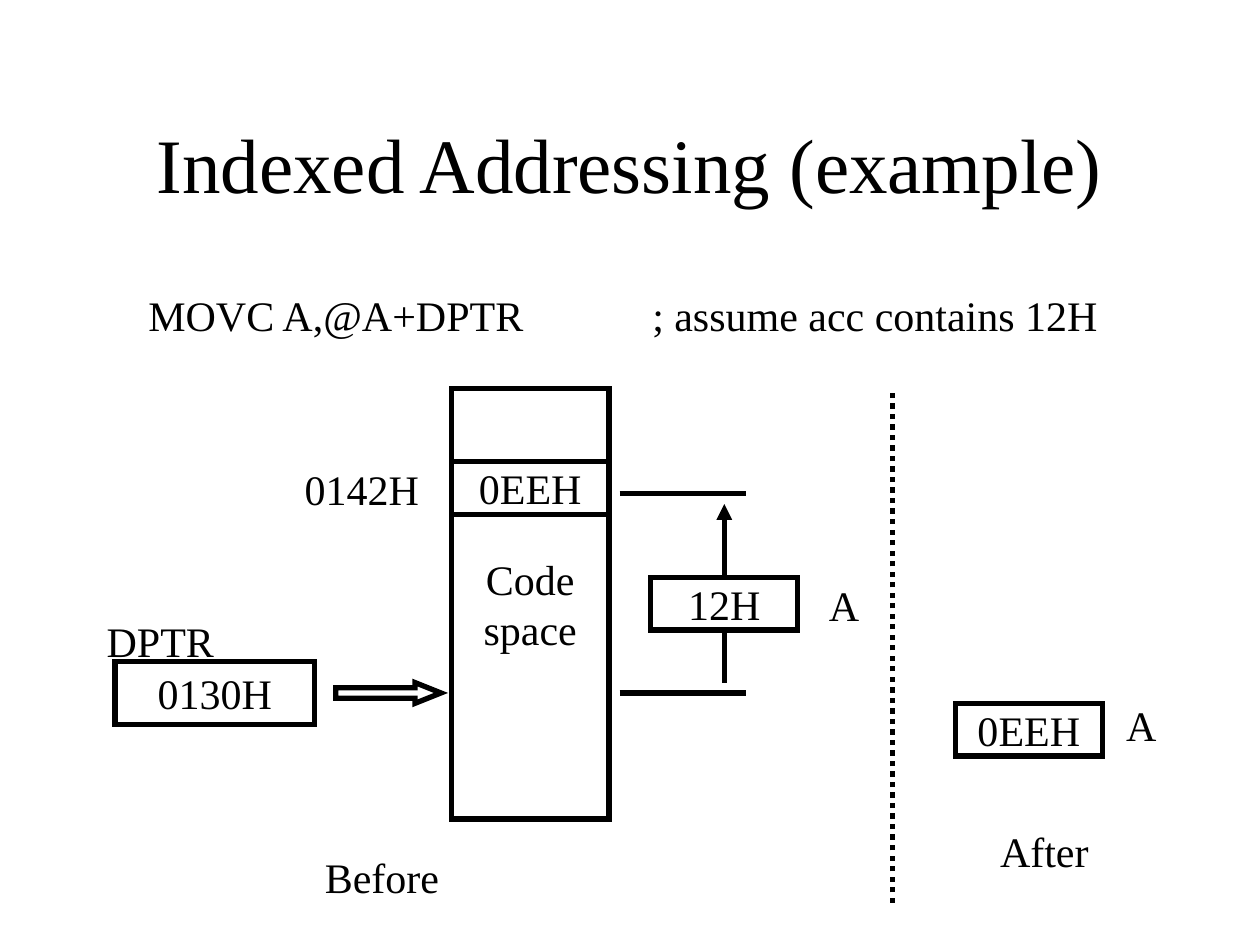
from lxml import etree
from pptx import Presentation
from pptx.dml.color import RGBColor
from pptx.enum.dml import MSO_LINE_DASH_STYLE as DASH
from pptx.enum.shapes import MSO_CONNECTOR, MSO_SHAPE
from pptx.enum.text import MSO_ANCHOR, MSO_AUTO_SIZE, PP_ALIGN
from pptx.oxml.ns import qn
from pptx.util import Cm, Pt

BLACK = RGBColor(0x00, 0x00, 0x00)
WHITE = RGBColor(0xFF, 0xFF, 0xFF)
FONT = "Times New Roman"
STROKE = Pt(3)
REG_W, REG_H = 2.96, 1.06  # accumulator box, cm
LABEL_H = 1.27
TAB_STEP = 2.54


def write(tf, lines, size=24, align=PP_ALIGN.LEFT, anchor=MSO_ANCHOR.TOP, wrap=False, tabs=0):
    tf.word_wrap = wrap
    tf.vertical_anchor = anchor
    for i, line in enumerate(lines):
        p = tf.paragraphs[0] if i == 0 else tf.add_paragraph()
        p.alignment = align
        if tabs:
            tab_list = etree.SubElement(p._p.get_or_add_pPr(), qn("a:tabLst"))
            for n in range(1, tabs + 1):
                etree.SubElement(tab_list, qn("a:tab"), pos=str(Cm(n * TAB_STEP)), algn="l")
        r = p.add_run()
        r.text = line
        r.font.name = FONT
        r.font.size = Pt(size)
        r.font.color.rgb = BLACK


def add_label(s, x, y, w, text, h=LABEL_H, **style):
    sp = s.shapes.add_textbox(Cm(x), Cm(y), Cm(w), Cm(h))
    write(sp.text_frame, [text], **style)
    if h == LABEL_H:
        sp.text_frame.auto_size = MSO_AUTO_SIZE.SHAPE_TO_FIT_TEXT


def add_box(s, x, y, w, h, *lines, kind=MSO_SHAPE.RECTANGLE):
    sp = s.shapes.add_shape(kind, Cm(x), Cm(y), Cm(w), Cm(h))
    sp.shadow.inherit = False
    sp.fill.solid()
    sp.fill.fore_color.rgb = WHITE
    sp.line.color.rgb = BLACK
    sp.line.width = STROKE
    etree.SubElement(sp.line._get_or_add_ln(), qn("a:miter"), lim="800000")
    write(sp.text_frame, lines, align=PP_ALIGN.CENTER, anchor=MSO_ANCHOR.MIDDLE)
    return sp


def add_line(s, x1, y1, x2, y2, dash=None, arrow=False):
    line = s.shapes.add_connector(MSO_CONNECTOR.STRAIGHT, Cm(x1), Cm(y1), Cm(x2), Cm(y2))
    line.line.color.rgb = BLACK
    line.line.width = STROKE
    if dash:
        line.line.dash_style = dash
    if arrow:
        etree.SubElement(line.line._get_or_add_ln(), qn("a:tailEnd"), type="triangle")
    etree.SubElement(line._element.spPr, qn("a:effectLst"))


def add_header(s, left, top, width):
    add_label(s, left, top, width, "Indexed Addressing (example)", h=3.18, size=44,
              align=PP_ALIGN.CENTER, anchor=MSO_ANCHOR.MIDDLE, wrap=True)
    add_label(s, left + 0.84, top + 4.02, width - 0.48,
              "MOVC A,@A+DPTR\t\t; assume acc contains 12H", wrap=True, tabs=7)


def add_before(s, left, top):
    # Code memory and the data pointer
    code_x, code_w = left + 7.2, 3.18
    base_y = top + 6.14
    add_box(s, code_x, top, code_w, 8.68, "Code", "space")
    add_box(s, left + 0.42, top + 5.5, 4.02, 1.27, "0130H")
    add_label(s, left, top + 4.45, 2.67, "DPTR")
    pointer = add_box(s, left + 4.87, base_y - 0.21, 2.12, 0.42, kind=MSO_SHAPE.RIGHT_ARROW)
    pointer.adjustments[0] = 0.5
    pointer.adjustments[1] = 1.25

    # Offset held in the accumulator
    acc_x, acc_y = left + 11.22, top + 3.81
    axis_x = acc_x + REG_W / 2
    target_y = top + 2.12
    for y in (base_y, target_y):
        add_line(s, left + 10.59, y, left + 13.13, y)
    add_box(s, acc_x, acc_y, REG_W, REG_H, "12H")
    add_label(s, left + 14.56, top + 3.73, 1.12, "A")
    add_line(s, axis_x, base_y - 0.21, axis_x, acc_y + REG_H)
    add_line(s, axis_x, acc_y, axis_x, target_y + 0.21, arrow=True)

    # Addressed cell
    add_box(s, code_x, top + 1.48, code_w, REG_H, "0EEH")
    add_label(s, left + 3.99, top + 1.39, 2.82, "0142H")
    add_label(s, left + 4.4, top + 9.21, 2.85, "Before")


def add_after(s, left, top, height):
    add_line(s, left, top + height, left, top, dash=DASH.ROUND_DOT)
    add_box(s, left + 1.27, top + 6.35, REG_W, REG_H, "0EEH")
    add_label(s, left + 4.46, top + 6.14, 1.12, "A")
    add_label(s, left + 1.92, top + 8.68, 2.29, "After")


def main():
    prs = Presentation()
    prs.slide_width, prs.slide_height = Cm(25.4), Cm(19.05)
    s = prs.slides.add_slide(prs.slide_layouts[6])
    add_header(s, 1.9, 1.7, 21.59)
    add_before(s, 1.9, 7.83)
    add_after(s, 17.99, 7.83, 10.37)
    prs.save("out.pptx")


if __name__ == "__main__":
    main()
